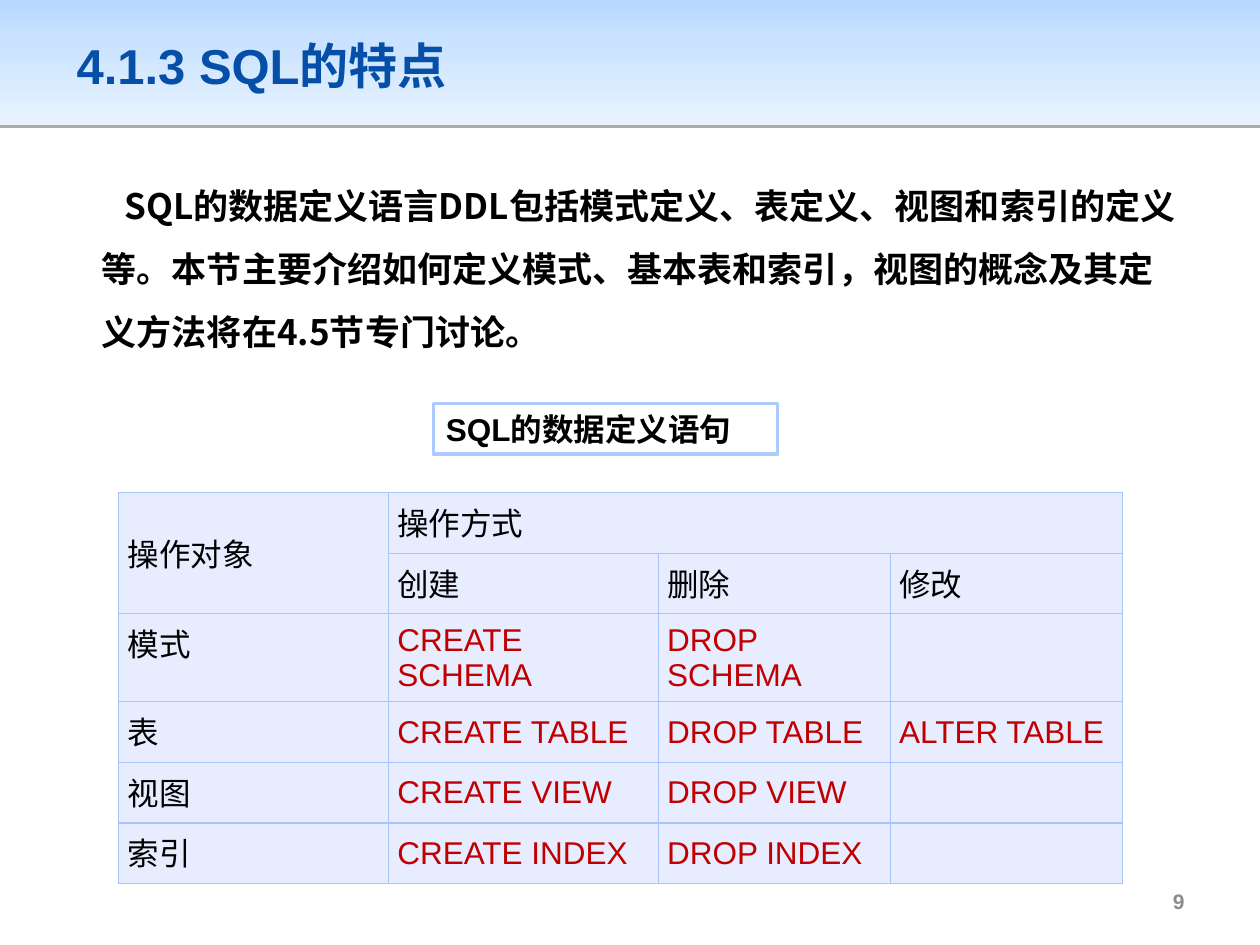
from lxml.etree import SubElement
from pptx import Presentation
from pptx.dml.color import RGBColor
from pptx.enum.shapes import MSO_SHAPE as Shape
from pptx.enum.text import MSO_ANCHOR as Anchor, PP_ALIGN as Align
from pptx.oxml import parse_xml
from pptx.oxml.ns import nsdecls, qn
from pptx.util import Pt

BLACK, RED, BORDER = "000000", "C00000", "A7C5FB"
CJK = "Noto Sans CJK SC"
HEADINGS = ["创建", "删除", "修改"]
STATEMENTS = [
    ("模式", "CREATE SCHEMA", "DROP SCHEMA", ""),
    ("表", "CREATE TABLE", "DROP TABLE", "ALTER TABLE"),
    ("视图", "CREATE VIEW", "DROP VIEW", ""),
    ("索引", "CREATE INDEX", "DROP INDEX", ""),
]


def color(value):
    return RGBColor.from_string(value)


def write(frame, text, size, shade, bold=True, name="Arial", align=Align.LEFT, anchor=Anchor.TOP):
    frame.word_wrap = True
    frame.vertical_anchor = anchor
    para = frame.paragraphs[0]
    para.text = text
    para.alignment = align
    font = para.font
    font.size, font.bold, font.name = Pt(size), bold, name
    font.color.rgb = color(shade)
    SubElement(para._p.pPr.find(qn("a:defRPr")), qn("a:ea"), typeface=CJK)
    return para


def add_text(page, box, text, size, shade, **style):
    frame = page.shapes.add_textbox(*map(Pt, box)).text_frame
    return write(frame, text, size, shade, **style)


def add_header(page, box, title):
    left, top, width, height = box
    band = page.shapes.add_shape(Shape.RECTANGLE, *map(Pt, box))
    band.line.fill.background()
    stops = "".join(
        f'<a:gs pos="{spot}"><a:srgbClr val="{shade}"/></a:gs>'
        for spot, shade in [(0, "B7D9FF"), (35000, "CBE3FF"), (100000, "E8F3FF")]
    )
    gradient = parse_xml(
        f'<a:gradFill {nsdecls("a")} rotWithShape="1"><a:gsLst>{stops}</a:gsLst>'
        '<a:lin ang="5400000" scaled="0"/></a:gradFill>'
    )
    shadow = parse_xml(
        f'<a:effectLst {nsdecls("a")}><a:outerShdw blurRad="0" dist="{Pt(1.6)}" dir="5400000" '
        'algn="t" rotWithShape="0"><a:srgbClr val="000000"><a:alpha val="33000"/></a:srgbClr>'
        "</a:outerShdw></a:effectLst>"
    )
    properties = band._element.spPr
    properties.find(qn("a:prstGeom")).addnext(gradient)
    properties.append(shadow)
    title_box = (left + 36.7, top + 11.5, width - 73.4, height - 20)
    add_text(page, title_box, title, 28, "054FA9", anchor=Anchor.MIDDLE)


def add_body(page, box, text):
    para = add_text(page, box, text, 20, BLACK, name=CJK)
    para.line_spacing = 1.5
    para._p.pPr.set("marL", str(Pt(14.4)))
    para._p.pPr.set("indent", str(Pt(12.8)))


def add_caption(page, box, text):
    label = page.shapes.add_shape(Shape.RECTANGLE, *map(Pt, box))
    label.shadow.inherit = False
    label.fill.solid()
    label.fill.fore_color.rgb = color("FFFFFF")
    label.line.color.rgb = color("ADCAFF")
    label.line.width = Pt(2)
    write(label.text_frame, text, 18, BLACK)


def style_cell(cell):
    cell.margin_left = cell.margin_right = Pt(5.2)
    cell.margin_top = cell.margin_bottom = Pt(3.6)
    properties = cell._tc.get_or_add_tcPr()
    for side in ("lnL", "lnR", "lnT", "lnB"):
        properties.append(parse_xml(
            f'<a:{side} {nsdecls("a")} w="{Pt(0.75)}"><a:solidFill>'
            f'<a:srgbClr val="{BORDER}"/></a:solidFill></a:{side}>'
        ))
    cell.fill.solid()
    cell.fill.fore_color.rgb = color("E7EDFF")


def add_statement_table(page, box, widths):
    rows = [("操作对象", "操作方式", "", ""), ("", *HEADINGS), *STATEMENTS]
    table = page.shapes.add_table(len(rows), len(widths), *map(Pt, box)).table
    for column, width in zip(table.columns, widths):
        column.width = Pt(width)
    for r, texts in enumerate(rows):
        for c, text in enumerate(texts):
            cell = table.cell(r, c)
            style_cell(cell)
            is_statement = r > 1 and c > 0
            centred = is_statement or (r, c) == (0, 0)
            write(cell.text_frame, text, 18, RED if is_statement else BLACK,
                  bold=False, align=Align.JUSTIFY)
            cell.vertical_anchor = Anchor.MIDDLE if centred else Anchor.TOP
    table.cell(0, 0).merge(table.cell(1, 0))
    table.cell(0, 1).merge(table.cell(0, 3))


def main():
    deck = Presentation()
    deck.slide_width, deck.slide_height = Pt(720), Pt(540)
    page = deck.slides.add_slide(deck.slide_layouts[6])
    add_header(page, (0, 0, 720, 71.3), "4.1.3 SQL的特点")
    add_body(page, (36.7, 90, 646.6, 388.8),
             "SQL的数据定义语言DDL包括模式定义、表定义、视图和索引的定义等。"
             "本节主要介绍如何定义模式、基本表和索引，视图的概念及其定义方法将在4.5节专门讨论。")
    add_statement_table(page, (67.7, 281.5, 573.6, 207.6), [154.2, 154.2, 132.6, 132.6])
    add_caption(page, (247.7, 230.6, 196.6, 29), "SQL的数据定义语句")
    add_text(page, (516.2, 500.4, 167.8, 28.8), "9", 12, "8C8C8C",
             align=Align.RIGHT, anchor=Anchor.MIDDLE)
    deck.save("out.pptx")


if __name__ == "__main__":
    main()
